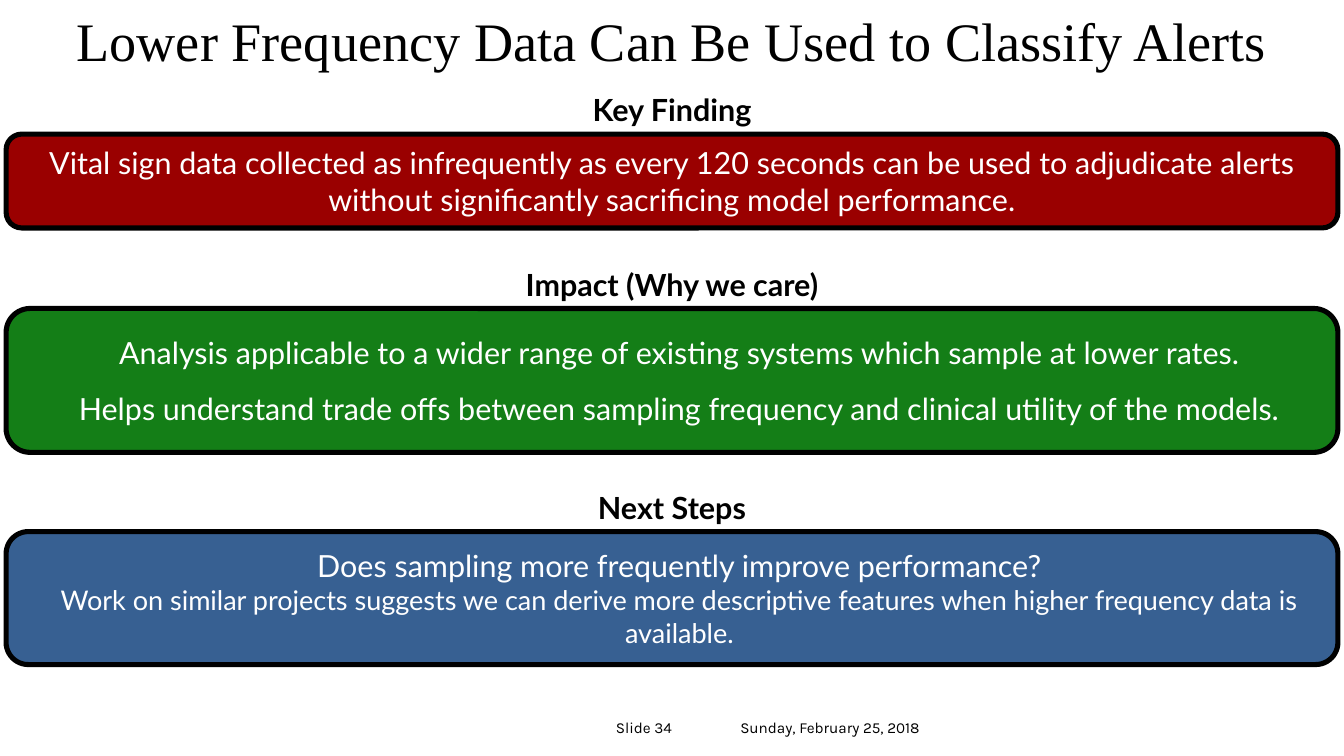
from pptx import Presentation
from pptx.dml.color import RGBColor
from pptx.enum.shapes import MSO_SHAPE
from pptx.enum.text import MSO_ANCHOR, PP_ALIGN
from pptx.util import Inches, Pt

SLIDE_WIDTH, SLIDE_HEIGHT = 11.02, 6.2
MARGIN = 0.05
HEADING_HEIGHT = 0.35
BLACK, WHITE = "000000", "FFFFFF"

SECTIONS = [
    ("Key Finding", 1.1, 0.77, "9A0000", 0.1, [
        [("Vital sign data collected as infrequently as every 120 seconds can be used to "
          "adjudicate alerts without significantly sacrificing model performance.", 18)],
    ]),
    ("Impact (Why we care)", 2.53, 1.18, "147E17", 0.22, [
        [("Analysis applicable to a wider range of existing systems which sample at lower rates.", 18)],
        [("Helps understand trade offs between sampling frequency and clinical utility "
          "of the models.", 18)],
    ]),
    ("Next Steps", 4.36, 1.09, "376092", 0.22, [
        [("Does sampling more frequently improve performance?", 18),
         ("Work on similar projects suggests we can derive more descriptive features when "
          "higher frequency data is available.", 16)],
    ]),
]


def paint(target, color):
    """Give a fill, line or font a solid colour from a hex string."""
    target.rgb = RGBColor.from_string(color)


def add_run(paragraph, text, size, font, color, bold=False):
    """Append one formatted run to a paragraph."""
    run = paragraph.add_run()
    run.text = text
    run.font.size, run.font.name, run.font.bold = Pt(size), font, bold
    paint(run.font.color, color)


def add_label(slide, box, text, size, font, bold=False,
              align=PP_ALIGN.CENTER, anchor=MSO_ANCHOR.TOP):
    """Place one line of black text in a box without insets."""
    label = slide.shapes.add_textbox(*map(Inches, box)).text_frame
    label.word_wrap = True
    label.vertical_anchor = anchor
    label.margin_left = label.margin_right = label.margin_top = label.margin_bottom = 0
    label.paragraphs[0].alignment = align
    add_run(label.paragraphs[0], text, size, font, BLACK, bold)


def add_section(slide, box, heading, color, left_inset, statements):
    """Place a bordered panel of statements in a box, with its heading on top."""
    left, top, width, height = box
    panel = slide.shapes.add_shape(MSO_SHAPE.ROUNDED_RECTANGLE, *map(Inches, box))
    panel.shadow.inherit = False
    panel.fill.solid()
    paint(panel.fill.fore_color, color)
    paint(panel.line.color, BLACK)
    panel.line.width = Pt(3)
    body = panel.text_frame
    body.word_wrap = True
    body.vertical_anchor = MSO_ANCHOR.MIDDLE
    body.margin_left = Inches(left_inset)
    for index, lines in enumerate(statements):
        statement = body.add_paragraph() if index else body.paragraphs[0]
        statement.alignment = PP_ALIGN.CENTER
        if index:
            statement.space_before = Pt(11.7)
        for number, (text, size) in enumerate(lines):
            if number:
                statement.add_line_break()
            add_run(statement, text, size, "Lato", WHITE)
    add_label(slide, (left, top - HEADING_HEIGHT, width, HEADING_HEIGHT),
              heading, 18, "Lato", bold=True)


def add_footer(slide, box):
    """Place the slide number and the date side by side in a box."""
    left, top, width, height = box
    number_width = width / 3
    add_label(slide, (left, top, number_width, height), "Slide 34", 9, "Karla",
              align=PP_ALIGN.LEFT)
    add_label(slide, (left + number_width, top, width - number_width, height),
              "Sunday, February 25, 2018", 9, "Karla", align=PP_ALIGN.LEFT)


def main():
    """Build the summary slide and save it."""
    deck = Presentation()
    deck.slide_width, deck.slide_height = Inches(SLIDE_WIDTH), Inches(SLIDE_HEIGHT)
    slide = deck.slides.add_slide(deck.slide_layouts[6])
    add_footer(slide, (5.05, 5.89, 3.06, 0.2))
    add_label(slide, (0, 0, SLIDE_WIDTH, 0.65),
              "Lower Frequency Data Can Be Used to Classify Alerts",
              32, "Times New Roman", anchor=MSO_ANCHOR.MIDDLE)
    for heading, top, height, color, left_inset, statements in SECTIONS:
        add_section(slide, (MARGIN, top, SLIDE_WIDTH - 2 * MARGIN, height),
                    heading, color, left_inset, statements)
    deck.save("out.pptx")


if __name__ == "__main__":
    main()
